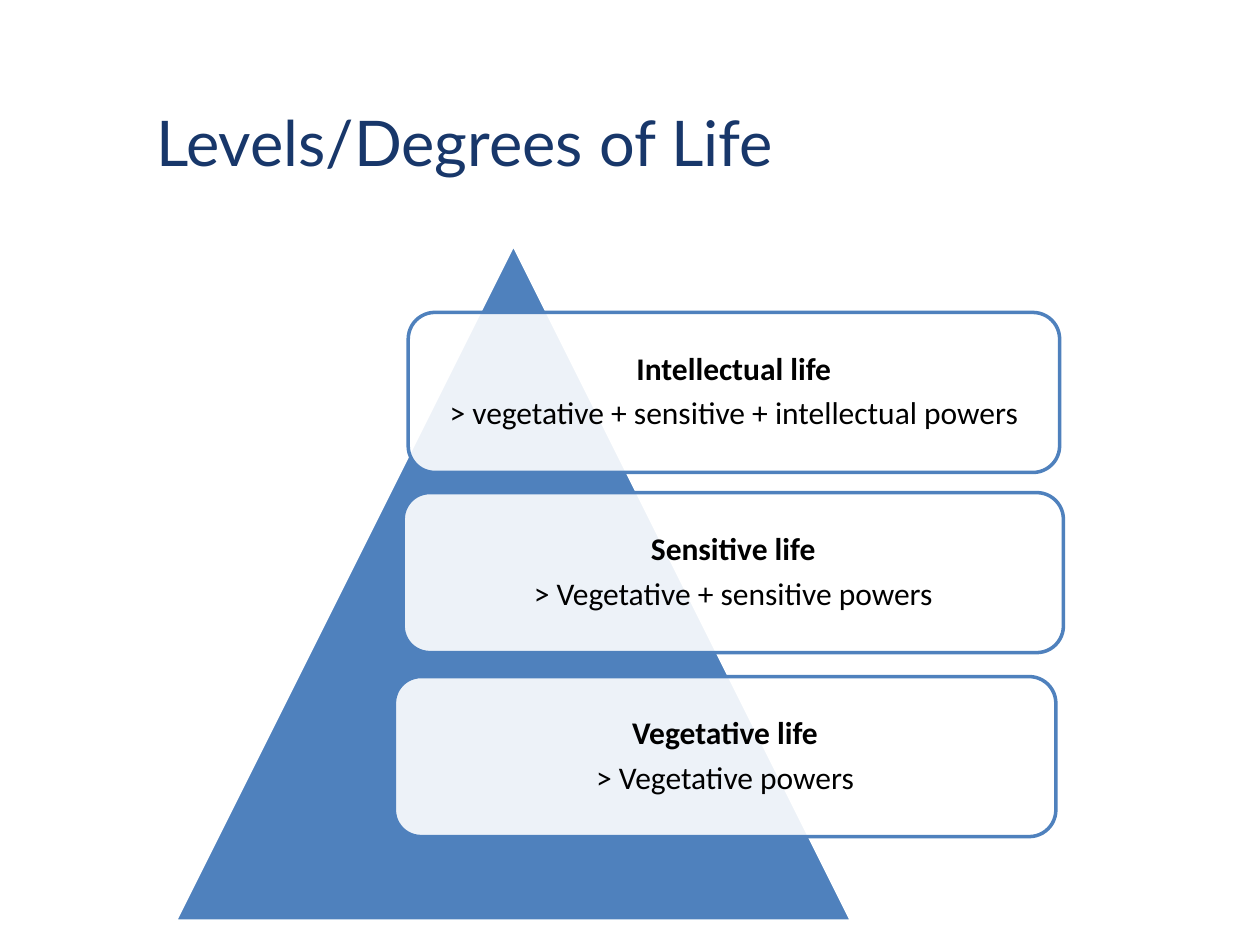
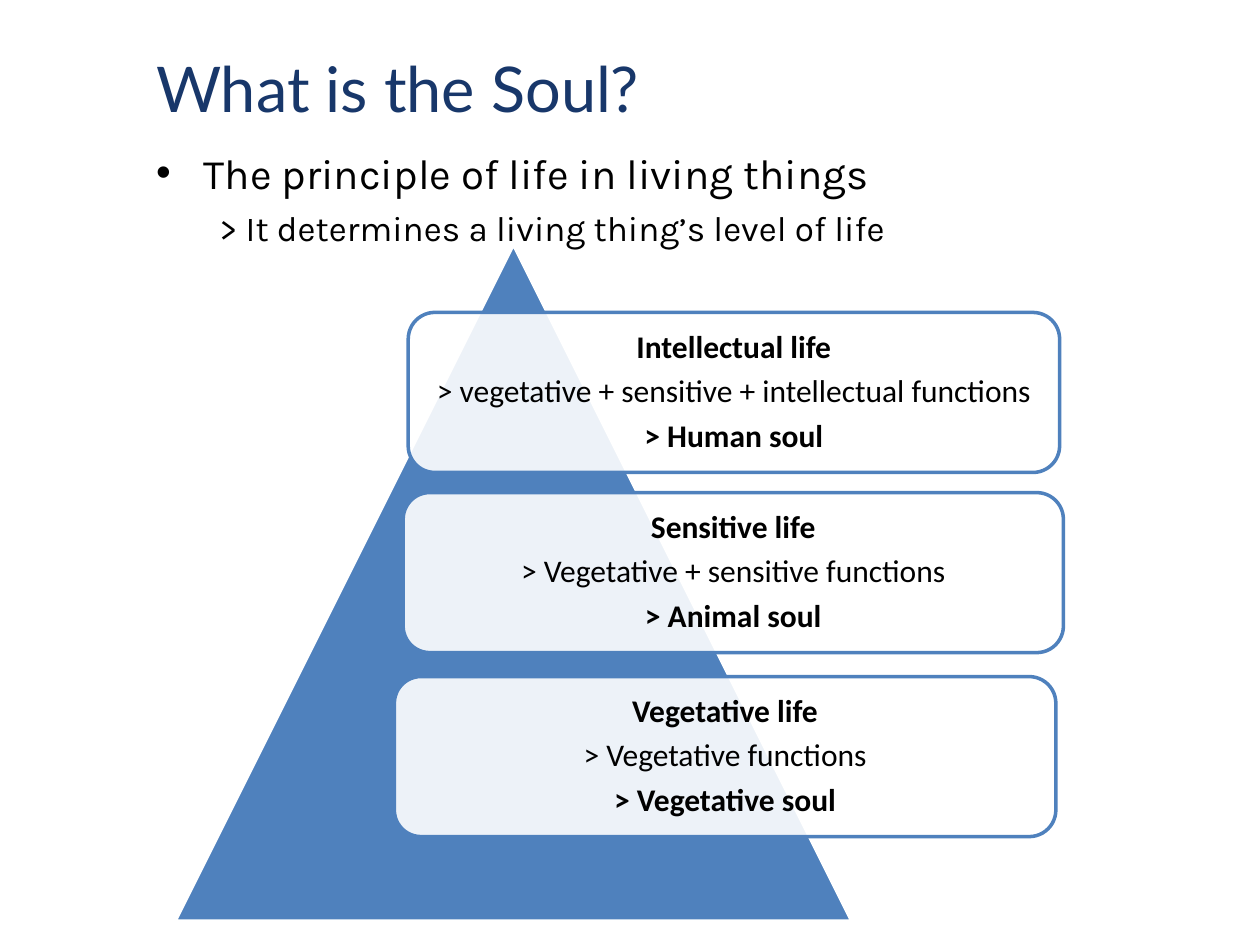
from lxml.etree import SubElement
from pptx import Presentation
from pptx.dml.color import RGBColor
from pptx.enum.shapes import MSO_SHAPE as Shape
from pptx.enum.text import MSO_ANCHOR as Anchor, PP_ALIGN as Align
from pptx.oxml.ns import qn
from pptx.util import Inches, Pt

# Content: each level is a heading, its powers or functions, and its soul
SLIDES = [
    {
        "title": "Levels/Degrees of Life",
        "title_top": 0.69,
        "body": [],
        "levels": [
            ["Intellectual life", "> vegetative + sensitive + intellectual powers"],
            ["Sensitive life", "> Vegetative + sensitive powers"],
            ["Vegetative life", "> Vegetative powers"],
        ],
    },
    {
        "title": "What is the Soul?",
        "title_top": 0.26,
        "body": ["The principle of life in living things",
                 "> It determines a living thing’s level of life"],
        "levels": [
            ["Intellectual life", "> vegetative + sensitive + intellectual functions",
             "> Human soul"],
            ["Sensitive life", "> Vegetative + sensitive functions", "> Animal soul"],
            ["Vegetative life", "> Vegetative functions", "> Vegetative soul"],
        ],
    },
]

# Shared style and layout, in inches
COLORS = {"title": "18376A", "blue": "4F81BD", "white": "FFFFFF", "text": "000000"}
LEFT = 1.14
TITLE_SIZE = (5.89, 0.86)
BODY_BOX = (LEFT, 1.12, 8.07, 0.86)
PYRAMID_BOX = (1.39, 1.94, 5.37, 5.37)
LEVEL_BOXES = [(3.24, 2.48, 5.17), (3.2, 3.91, 5.24), (3.13, 5.37, 5.25)]
LEVEL_HEIGHT = 1.27
LEVEL_INSET = 0.07


def color(name):
    return RGBColor.from_string(COLORS[name])


def style(p, font, size, name="text", bold=False):
    for r in p.runs:
        f = r.font
        f.name, f.size, f.bold = font, Pt(size), bold
        f.color.rgb = color(name)


def add_text(s, box, lines):
    tf = s.shapes.add_textbox(*map(Inches, box)).text_frame
    tf.word_wrap = True
    tf.text = "\n".join(lines)
    return tf


def add_shape(s, kind, box, fill, line):
    sp = s.shapes.add_shape(kind, *map(Inches, box))
    sp.shadow.inherit = False
    sp.fill.solid()
    sp.fill.fore_color.rgb = color(fill)
    sp.line.color.rgb = color(line)
    sp.line.width = Pt(2)
    return sp


def add_title(s, text, top):
    tf = add_text(s, (LEFT, top, *TITLE_SIZE), [text])
    tf.vertical_anchor = Anchor.MIDDLE
    style(tf.paragraphs[0], "Lato", 36, "title")


def add_body(s, lines):
    main, detail = add_text(s, BODY_BOX, lines).paragraphs
    # Hanging bullet on the main point, plain indent on the detail
    pPr = main._p.get_or_add_pPr()
    pPr.set("marL", str(Inches(0.38)))
    pPr.set("indent", str(-Inches(0.38)))
    SubElement(pPr, qn("a:buFont"), typeface="Arial")
    SubElement(pPr, qn("a:buChar"), char="•")
    detail._p.get_or_add_pPr().set("marL", str(Inches(0.5)))
    detail.space_before = Pt(5)
    style(main, "Karla", 24)
    style(detail, "Karla", 20)


def add_level(s, place, lines):
    sp = add_shape(s, Shape.ROUNDED_RECTANGLE, (*place, LEVEL_HEIGHT), "white", "blue")
    rgb = sp._element.spPr.find(qn("a:solidFill")).find(qn("a:srgbClr"))
    SubElement(rgb, qn("a:alpha"), val="90000")
    tf = sp.text_frame
    tf.word_wrap = True
    tf.vertical_anchor = Anchor.MIDDLE
    tf.margin_left = tf.margin_right = Inches(LEVEL_INSET)
    tf.margin_top = tf.margin_bottom = Inches(LEVEL_INSET)
    tf.text = "\n".join(lines)
    for i, p in enumerate(tf.paragraphs):
        p.alignment = Align.CENTER
        p.line_spacing = 0.9
        p.space_after = Pt(6)
        style(p, "Calibri", 18, bold=i != 1)


def main():
    prs = Presentation()
    prs.slide_width, prs.slide_height = Inches(10), Inches(7.5)
    for content in SLIDES:
        s = prs.slides.add_slide(prs.slide_layouts[6])
        add_title(s, content["title"], content["title_top"])
        if content["body"]:
            add_body(s, content["body"])
        # Pyramid with the three levels over it
        add_shape(s, Shape.ISOSCELES_TRIANGLE, PYRAMID_BOX, "blue", "white")
        for place, lines in zip(LEVEL_BOXES, content["levels"]):
            add_level(s, place, lines)
    prs.save("out.pptx")


if __name__ == "__main__":
    main()
